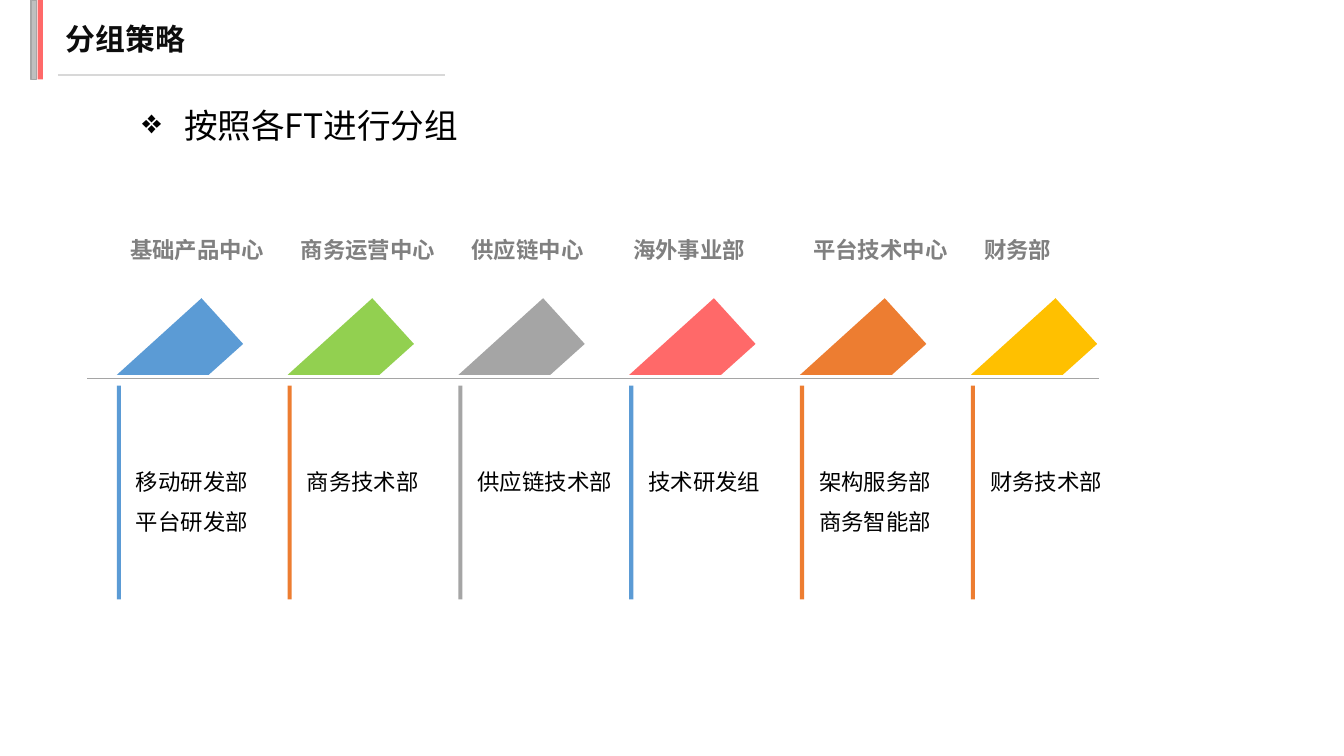
"""Build the grouping strategy slide: six centres on a line with their departments."""
from lxml.etree import SubElement
from pptx import Presentation
from pptx.dml.color import RGBColor
from pptx.enum.shapes import MSO_CONNECTOR, MSO_SHAPE
from pptx.enum.text import MSO_ANCHOR, PP_ALIGN
from pptx.oxml.ns import qn
from pptx.util import Pt

COLORS = {
    "title": "0D0D0D", "text": "000000", "label": "808080",
    "tab": "BFBFBF", "tab_edge": "A6A6A6", "rule": "D8D8D8",
    "blue": "5B9BD5", "green": "92D050", "gray": "A5A5A5",
    "red": "FF6969", "orange": "ED7D31", "gold": "FFC000",
}
COLUMNS = [
    ("基础产品中心", "blue", "blue", ["移动研发部", "平台研发部"]),
    ("商务运营中心", "green", "orange", ["商务技术部"]),
    ("供应链中心", "gray", "gray", ["供应链技术部"]),
    ("海外事业部", "red", "blue", ["技术研发组"]),
    ("平台技术中心", "orange", "orange", ["架构服务部", "商务智能部"]),
    ("财务部", "gold", "orange", ["财务技术部"]),
]
LEFT, PITCH = 62.6, 91.5
LABEL_SHIFT = {3: -5}
ARROW = [(45.4, 159.8), (67.7, 184.3), (49.2, 200.9), (0, 200.9)]


class Deck:
    """Hold the style and the current slide."""

    def __init__(self, slide, font="Noto Sans CJK SC"):
        self.s = slide
        self.font = font

    def color(self, name):
        """Return the named colour."""
        return RGBColor.from_string(COLORS[name])

    def paint(self, sp, fill, line=None):
        """Give a shape its fill and outline, without shadow."""
        sp.shadow.inherit = False
        sp.fill.solid()
        sp.fill.fore_color.rgb = self.color(fill)
        if line:
            sp.line.color.rgb = self.color(line)
            sp.line.width = Pt(0.75)
        else:
            sp.line.fill.background()

    def bar(self, x, y, w, h, fill, line=None, shapes=None):
        """Add a rectangle to the slide or to a group."""
        shapes = shapes or self.s.shapes
        sp = shapes.add_shape(MSO_SHAPE.RECTANGLE, Pt(x), Pt(y), Pt(w), Pt(h))
        self.paint(sp, fill, line)

    def rule(self, x1, x2, y, color, width):
        """Add a horizontal line."""
        ln = self.s.shapes.add_connector(
            MSO_CONNECTOR.STRAIGHT, Pt(x1), Pt(y), Pt(x2), Pt(y))
        ln.line.color.rgb = self.color(color)
        ln.line.width = Pt(width)
        SubElement(ln._element.spPr, qn("a:effectLst"))

    def arrow(self, x, fill):
        """Add a slanted arrow that starts at x."""
        points = [(Pt(x + dx), Pt(y)) for dx, y in ARROW]
        fb = self.s.shapes.build_freeform(*points[0])
        fb.add_line_segments(points[1:], close=True)
        self.paint(fb.convert_to_shape(), fill)

    def fill_text(self, sp, lines, size, color, bold=False, spacing=1.3):
        """Fill a text shape with one paragraph per line."""
        tf = sp.text_frame
        tf.word_wrap = True
        tf.vertical_anchor = MSO_ANCHOR.TOP
        for i, line in enumerate(lines):
            p = tf.add_paragraph() if i else tf.paragraphs[0]
            p.alignment = PP_ALIGN.LEFT
            p.line_spacing = Pt(round(size * spacing, 1))
            r = p.add_run()
            r.text = line
            r.font.size = Pt(size)
            r.font.bold = bold
            r.font.name = self.font
            r.font.color.rgb = self.color(color)
            SubElement(r._r.get_or_add_rPr(), qn("a:ea"), typeface=self.font)
        return tf

    def title(self, text, x, y, w, h):
        """Place and fill the title placeholder."""
        sp = self.s.shapes.title
        sp.left, sp.top, sp.width, sp.height = Pt(x), Pt(y), Pt(w), Pt(h)
        self.fill_text(sp, [text], 16, "title", bold=True)

    def text(self, x, y, w, h, lines, size, color, **style):
        """Add a text box and return its text frame."""
        sp = self.s.shapes.add_textbox(Pt(x), Pt(y), Pt(w), Pt(h))
        return self.fill_text(sp, lines, size, color, **style)

    def bullet(self, p, char, indent):
        """Give a paragraph a hanging bullet."""
        pPr = p._p.get_or_add_pPr()
        pPr.set("marL", str(Pt(indent)))
        pPr.set("indent", str(-Pt(indent)))
        SubElement(pPr, qn("a:buChar"), char=char)


def main():
    """Build and save the slide."""
    prs = Presentation()
    prs.slide_width, prs.slide_height = Pt(720), Pt(405)
    deck = Deck(prs.slides.add_slide(prs.slide_layouts[5]))

    tabs = deck.s.shapes.add_group_shape().shapes
    deck.bar(16.6, 0, 2.9, 42.5, "tab", "tab_edge", tabs)
    deck.bar(20.2, 0, 2.8, 42.5, "red", shapes=tabs)
    deck.title("分组策略", 28.1, 5.8, 228, 26.6)
    deck.rule(31, 238.3, 40.3, "rule", 0.75)
    tf = deck.text(69.1, 51.1, 365, 29, ["按照各FT进行分组"], 18, "text")
    deck.bullet(tf.paragraphs[0], "❖", 22.5)

    deck.rule(46.8, 589, 203, "gray", 0.5)
    for i, (label, arrow, bar, teams) in enumerate(COLUMNS):
        x = LEFT + i * PITCH
        deck.arrow(x, arrow)
        deck.bar(x, 206.6, 2.2, 114.5, bar)
        width = 89 if len(teams[0]) > 5 else 75
        tf = deck.text(x + 3.2, 206.6, width, 114.5, teams, 12, "text", spacing=1.78)
        tf.margin_top, tf.margin_right = Pt(37), 0
        deck.text(x + LABEL_SHIFT.get(i, 0), 121.6, 91.4, 21.8, [label], 12, "label",
                  bold=True)
    prs.save("out.pptx")


if __name__ == "__main__":
    main()
